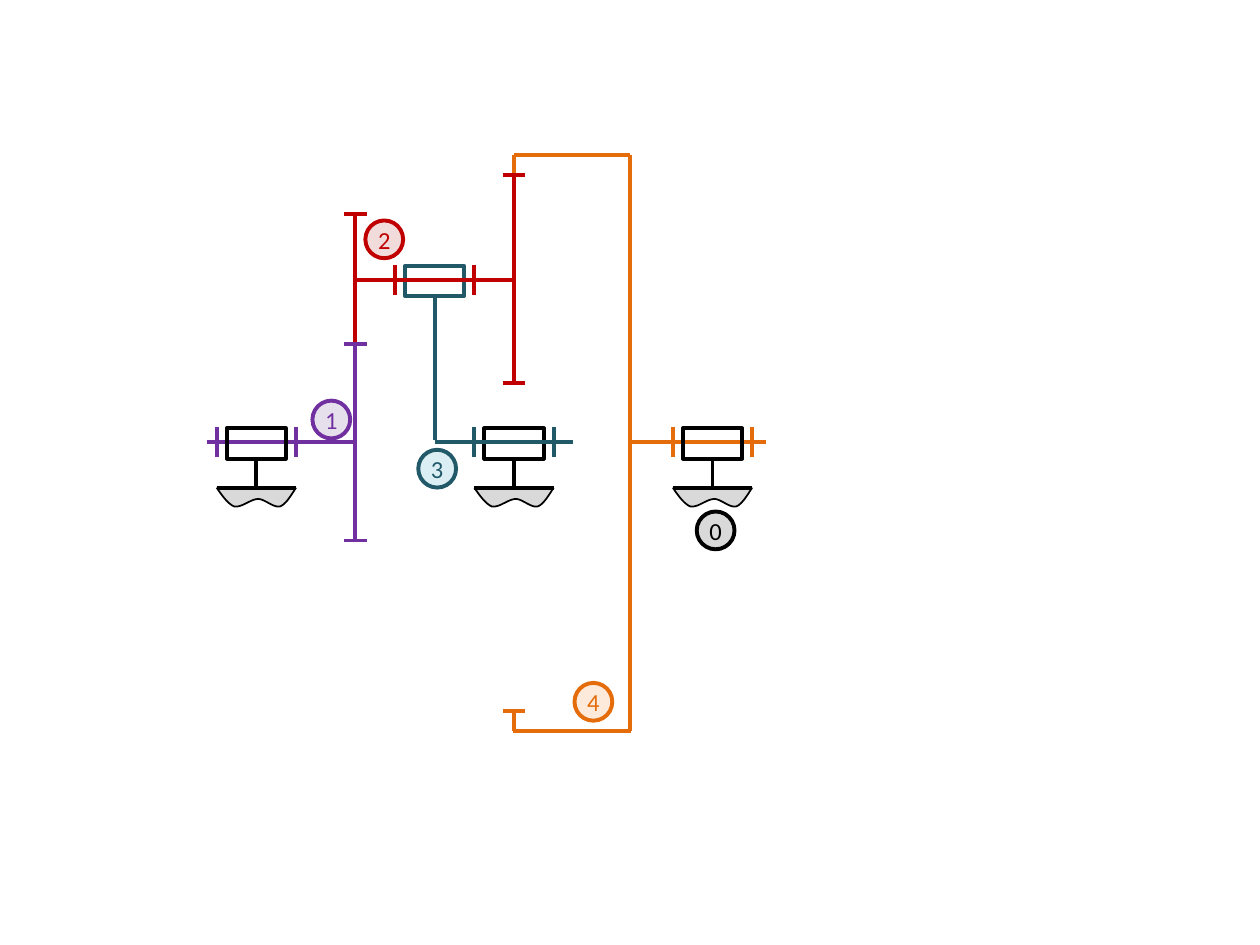
import pptx
import pptx.util
import pptx.dml.color
import pptx.enum.shapes
import pptx.enum.text
import pptx.oxml
import pptx.oxml.ns
from lxml import etree

RGBColor = pptx.dml.color.RGBColor
Inches = pptx.util.Inches
Pt = pptx.util.Pt
SHAPES = pptx.enum.shapes.MSO_SHAPE

BLACK = RGBColor(0x00, 0x00, 0x00)
GREY = RGBColor(0xD9, 0xD9, 0xD9)
PURPLE = RGBColor(0x70, 0x30, 0xA0)
PALE_PURPLE = RGBColor(0xE6, 0xE0, 0xEC)
RED = RGBColor(0xC0, 0x00, 0x00)
PALE_RED = RGBColor(0xF2, 0xDC, 0xDB)
TEAL = RGBColor(0x21, 0x59, 0x68)
PALE_TEAL = RGBColor(0xDB, 0xEE, 0xF4)
ORANGE = RGBColor(0xE4, 0x6C, 0x0A)
PALE_ORANGE = RGBColor(0xFD, 0xEA, 0xDA)

# Axes of the gear train, in inches
MAIN_Y, PLANET_Y = 3.51, 2.22
SUN_X, ARM_X, RING_X, DRUM_X = 2.82, 3.45, 4.08, 5.0
RING_TOP, RING_BOTTOM, RIM = 1.23, 5.8, 0.16
MESH_Y, GROUND_Y = 2.73, 3.87

# Part sizes
LINE_WIDTH = 2.25
BEARING_WIDTH, BEARING_HEIGHT = 0.47, 0.24
COLLAR_OFFSET, TOOTH_HALF, LABEL_SIZE = 0.315, 0.09, 0.3

# x1, y1, x2, y2, colour
BACK_SHAFTS = [
    (1.64, MAIN_Y, SUN_X, MAIN_Y, PURPLE),
    (5.02, MAIN_Y, 6.08, MAIN_Y, ORANGE),
]
FRONT_LINES = [
    (SUN_X, PLANET_Y, RING_X, PLANET_Y, RED),
    (ARM_X, MAIN_Y, 4.55, MAIN_Y, TEAL),
    (RING_X, RING_TOP, RING_X, RING_TOP + RIM, ORANGE),
    (DRUM_X, RING_TOP, RING_X, RING_TOP, ORANGE),
    (DRUM_X, RING_TOP, DRUM_X, RING_BOTTOM, ORANGE),
    (DRUM_X + 0.01, RING_BOTTOM, RING_X - 0.01, RING_BOTTOM, ORANGE),
]
# x, top, bottom, colour, heights of the tooth marks
GEARS = [
    (SUN_X, 1.7, MESH_Y, RED, [1.7]),
    (SUN_X, MESH_Y, 4.29, PURPLE, [MESH_Y, 4.29]),
    (RING_X, RING_TOP + RIM, 3.04, RED, [RING_TOP + RIM, 3.04]),
    (RING_X, RING_BOTTOM - RIM, RING_BOTTOM, ORANGE, [RING_BOTTOM - RIM]),
]
# centre x, collar colour
GROUNDED_BEARINGS = [(2.035, PURPLE), (RING_X, TEAL), (5.655, ORANGE)]
# text, left, top, colour, fill
LABELS = [
    ("1", 2.48, 3.18, PURPLE, PALE_PURPLE),
    ("2", 2.9, 1.75, RED, PALE_RED),
    ("3", 3.32, 3.57, TEAL, PALE_TEAL),
    ("0", 5.53, 4.06, BLACK, GREY),
    ("4", 4.56, 5.42, ORANGE, PALE_ORANGE),
]
# Ground profile: Bezier segments as offsets from the ground line's left end
GROUND_CURVES = [
    [(0, 0), (0.04, 0.06), (0.09, 0.13), (0.14, 0.15)],
    [(0.14, 0.15), (0.2, 0.16), (0.27, 0.09), (0.33, 0.09)],
    [(0.33, 0.09), (0.38, 0.09), (0.45, 0.16), (0.5, 0.15)],
    [(0.5, 0.15), (0.54, 0.14), (0.58, 0.08), (0.63, 0)],
]
CURVE_STEPS = 10

presentation = pptx.Presentation()
presentation.slide_width, presentation.slide_height = Inches(10), Inches(7.5)
slide = presentation.slides.add_slide(presentation.slide_layouts[6])


def add_line(x1, y1, x2, y2, colour):
    line = slide.shapes.add_connector(
        pptx.enum.shapes.MSO_CONNECTOR.STRAIGHT,
        Inches(x1), Inches(y1), Inches(x2), Inches(y2))
    line.line.color.rgb = colour
    line.line.width = Pt(LINE_WIDTH)
    etree.SubElement(line._element.spPr, pptx.oxml.ns.qn("a:effectLst"))
    return line


def style_shape(shape, colour, fill=None, width=LINE_WIDTH):
    shape.shadow.inherit = False
    if fill is None:
        shape.fill.background()
    else:
        shape.fill.solid()
        shape.fill.fore_color.rgb = fill
    shape.line.color.rgb = colour
    shape.line.width = Pt(width)


def add_bearing(x, y, colour, collar_colour):
    bearing = slide.shapes.add_shape(
        SHAPES.RECTANGLE,
        Inches(x - BEARING_WIDTH / 2), Inches(y - BEARING_HEIGHT / 2 + 0.01),
        Inches(BEARING_WIDTH), Inches(BEARING_HEIGHT))
    style_shape(bearing, colour)
    for collar_x in (x - COLLAR_OFFSET, x + COLLAR_OFFSET):
        add_line(collar_x, y - 0.12, collar_x, y + 0.12, collar_colour)
    return bearing


def bezier_point(points, t):
    weights = ((1 - t) ** 3, 3 * t * (1 - t) ** 2, 3 * t ** 2 * (1 - t), t ** 3)
    return tuple(sum(w * p[axis] for w, p in zip(weights, points))
                 for axis in (0, 1))


def add_ground(left):
    points = [bezier_point(curve, step / CURVE_STEPS)
              for curve in GROUND_CURVES for step in range(1, CURVE_STEPS + 1)]
    builder = slide.shapes.build_freeform(Inches(left), Inches(GROUND_Y))
    builder.add_line_segments(
        [(Inches(left + x), Inches(GROUND_Y + y)) for x, y in points], close=False)
    style_shape(builder.convert_to_shape(), BLACK, GREY, 1)


def add_label(text, left, top, colour, fill):
    label = slide.shapes.add_shape(
        SHAPES.OVAL, Inches(left), Inches(top),
        Inches(LABEL_SIZE), Inches(LABEL_SIZE))
    style_shape(label, colour, fill)
    frame = label.text_frame
    frame.margin_left = frame.margin_right = 0
    frame.margin_top = frame.margin_bottom = 0
    frame.vertical_anchor = pptx.enum.text.MSO_ANCHOR.MIDDLE
    paragraph = frame.paragraphs[0]
    paragraph.alignment = pptx.enum.text.PP_ALIGN.CENTER
    run = paragraph.add_run()
    run.text = text
    paragraph.font.name = "Calibri"
    paragraph.font.size = Pt(14)
    paragraph.font.color.rgb = colour
    # Thin outline around the digit
    run._r.get_or_add_rPr().insert(0, pptx.oxml.parse_xml(
        '<a:ln xmlns:a="http://schemas.openxmlformats.org/drawingml/2006/main" '
        f'w="{Pt(0.75)}"><a:solidFill><a:srgbClr val="{colour}"/>'
        '</a:solidFill></a:ln>'))


# Shafts that run behind their bearings
for shaft in BACK_SHAFTS:
    add_line(*shaft)

# Bearings fixed to the ground
for x, colour in GROUNDED_BEARINGS:
    ground_left = x - COLLAR_OFFSET
    add_ground(ground_left)
    bearing = add_bearing(x, MAIN_Y, BLACK, colour)
    post = add_line(x, MAIN_Y, x, GROUND_Y, BLACK)
    post.begin_connect(bearing, 2)
    add_line(ground_left, GROUND_Y, x + COLLAR_OFFSET, GROUND_Y, BLACK)

# Planet bearing and its carrier arm
planet_bearing = add_bearing(ARM_X, PLANET_Y, TEAL, RED)
arm = add_line(ARM_X, PLANET_Y, ARM_X, 3.49, TEAL)
arm.begin_connect(planet_bearing, 2)

# Front shafts and ring drum
for line in FRONT_LINES:
    add_line(*line)

# Gears with their tooth marks
for x, top, bottom, colour, teeth in GEARS:
    add_line(x, top, x, bottom, colour)
    for y in teeth:
        add_line(x - TOOTH_HALF, y, x + TOOTH_HALF, y, colour)

# Numbered links
for label in LABELS:
    add_label(*label)

presentation.save("out.pptx")
